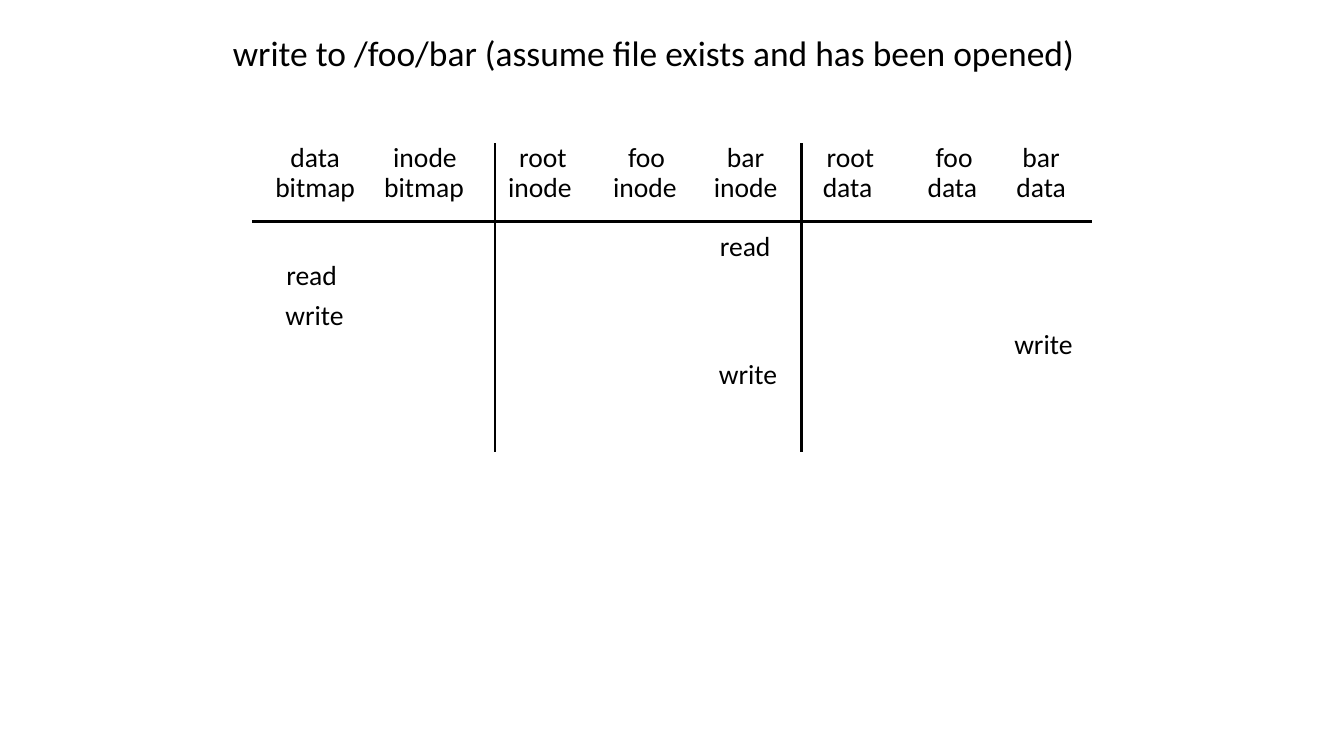
"""Build a slide that traces the disk accesses of a write to /foo/bar."""
from lxml import etree
from pptx import Presentation
from pptx.dml.color import RGBColor
from pptx.enum.shapes import MSO_CONNECTOR
from pptx.enum.text import MSO_ANCHOR, MSO_AUTO_SIZE, PP_ALIGN
from pptx.oxml.ns import qn
from pptx.util import Inches, Pt

LINE = MSO_CONNECTOR.STRAIGHT
MIDDLE = MSO_ANCHOR.MIDDLE
GROW = MSO_AUTO_SIZE.SHAPE_TO_FIT_TEXT
LEFT = PP_ALIGN.LEFT
INK = "000000"
WIDTHS = {"data": 0.59, "inode": 0.73, "root": 0.57, "foo": 0.47, "bar": 0.47,
          "bitmap": 0.89, "read": 0.6, "write": 0.67}


def color(code):
    return RGBColor.from_string(code)


def put_text(shape, words, size):
    frame = shape.text_frame
    frame.word_wrap = False
    frame.auto_size = GROW
    frame.vertical_anchor = MIDDLE
    frame.margin_left = frame.margin_right = Inches(0.04)
    frame.margin_top = frame.margin_bottom = Inches(0.04)
    para = frame.paragraphs[0]
    para.alignment = LEFT
    para.line_spacing = 1.0
    run = para.add_run()
    run.text = words
    run.font.name = "Calibri"
    run.font.size = Pt(size)
    run.font.color.rgb = color(INK)


deck = Presentation()
deck.slide_width, deck.slide_height = Inches(13.33), Inches(7.5)
slide = deck.slides.add_slide(deck.slide_layouts[5])

title = slide.shapes.title
title.left, title.top = Inches(2.27), Inches(0.27)
title.width, title.height = Inches(8.5), Inches(0.5)
put_text(title, "write to /foo/bar (assume file exists and has been opened)", 25.3)

heads = [
    ("data", 2.84, "bitmap", 2.69),
    ("inode", 3.86, "bitmap", 3.77),
    ("root", 5.11, "inode", 5.0),
    ("foo", 6.19, "inode", 6.04),
    ("bar", 7.17, "inode", 7.04),
    ("root", 8.16, "data", 8.12),
    ("foo", 9.24, "data", 9.16),
    ("bar", 10.1, "data", 10.04),
]
labels = [
    ("read", 7.1, 2.23),
    ("read", 2.8, 2.52),
    ("write", 2.79, 2.91),
    ("write", 10.02, 3.2),
    ("write", 7.09, 3.5),
]
for upper, upper_x, lower, lower_x in heads:
    labels += [(upper, upper_x, 1.35), (lower, lower_x, 1.64)]

for word, x, y in labels:
    box = slide.shapes.add_textbox(Inches(x), Inches(y), Inches(WIDTHS[word]), Inches(0.41))
    put_text(box, word, 19.7)

rules = [(2.5, 2.2, 10.83, 2.2), (4.91, 4.48, 4.91, 1.42), (7.95, 4.48, 7.95, 1.42)]
for ends in rules:
    rule = slide.shapes.add_connector(LINE, *[Inches(end) for end in ends])
    rule.line.color.rgb = color(INK)
    rule.line.width = Pt(2)
    etree.SubElement(rule._element.spPr, qn("a:effectLst"))

deck.save("out.pptx")
